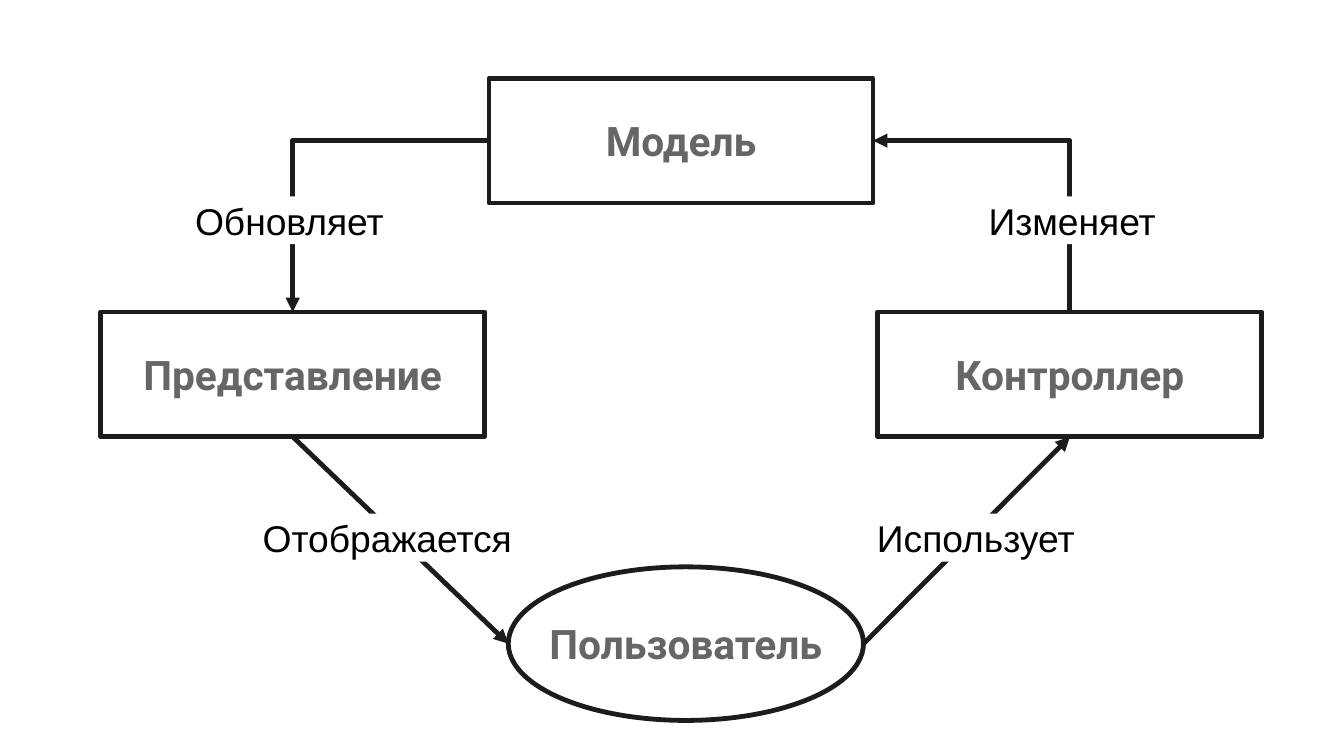
"""Draws the model, view, controller and user cycle on one slide."""
from dataclasses import dataclass

from lxml import etree
from pptx import Presentation
from pptx import util as u
from pptx.dml.color import RGBColor
from pptx.enum import shapes, text
from pptx.oxml.ns import qn


@dataclass(frozen=True)
class Theme:
    ink: RGBColor = RGBColor(0x1C, 0x1C, 0x1C)
    node_text: RGBColor = RGBColor(0x66, 0x66, 0x66)
    label_text: RGBColor = RGBColor(0, 0, 0)
    paper: RGBColor = RGBColor(0xFF, 0xFF, 0xFF)
    node_font: str = "Roboto"
    label_font: str = "Arial"
    node_size: int = 24
    label_size: int = 22
    line: float = 2.83


@dataclass(frozen=True)
class Node:
    name: str
    x: float
    y: float
    w: float = 8.0
    h: float = 2.6
    kind: shapes.MSO_SHAPE = shapes.MSO_SHAPE.RECTANGLE


@dataclass(frozen=True)
class Link:
    start: str
    start_site: int
    end: str
    end_site: int
    bent: bool = False
    arrow: str = "tailEnd"


@dataclass(frozen=True)
class Label:
    name: str
    x: float
    y: float
    w: float = 4.14
    h: float = 1.0


TOP, LEFT, BOTTOM, RIGHT = range(4)
THEME = Theme()
MODEL, VIEW, CONTROLLER, USER = "Модель", "Представление", "Контроллер", "Пользователь"
NODES = [
    Node(MODEL, 10.19, 1.63),
    Node(VIEW, 2.1, 6.5),
    Node(CONTROLLER, 18.29, 6.5),
    Node(USER, 10.59, 11.81, 7.4, 3.2, shapes.MSO_SHAPE.OVAL),
]
LINKS = [
    Link(MODEL, LEFT, VIEW, TOP, bent=True),
    Link(VIEW, BOTTOM, USER, LEFT),
    Link(USER, RIGHT, CONTROLLER, BOTTOM),
    Link(MODEL, RIGHT, CONTROLLER, TOP, bent=True, arrow="headEnd"),
]
LABELS = [
    Label("Обновляет", 3.96, 4.09),
    Label("Изменяет", 20.27, 4.09),
    Label("Отображается", 6.0, 10.7),
    Label("Использует", 18.26, 10.7),
]


def write(sp, words: str, font: str, size: int, color: RGBColor, bold: bool) -> None:
    tf = sp.text_frame
    tf.word_wrap = False
    tf.vertical_anchor = text.MSO_ANCHOR.MIDDLE
    p = tf.paragraphs[0]
    p.alignment = text.PP_ALIGN.CENTER
    r = p.add_run()
    r.text = words
    r.font.name, r.font.size, r.font.bold = font, u.Pt(size), bold
    r.font.color.rgb = color


def add_box(s, item: Node | Label, kind: shapes.MSO_SHAPE):
    sp = s.shapes.add_shape(kind, *map(u.Cm, (item.x, item.y, item.w, item.h)))
    sp.shadow.inherit = False
    return sp


def draw_node(s, node: Node):
    sp = add_box(s, node, node.kind)
    sp.fill.background()
    sp.line.color.rgb, sp.line.width = THEME.ink, u.Pt(THEME.line)
    write(sp, node.name, THEME.node_font, THEME.node_size, THEME.node_text, True)
    return sp


def draw_label(s, label: Label) -> None:
    sp = add_box(s, label, shapes.MSO_SHAPE.RECTANGLE)
    sp.fill.solid()
    sp.fill.fore_color.rgb = THEME.paper
    sp.line.fill.background()
    write(sp, label.name, THEME.label_font, THEME.label_size, THEME.label_text, False)


def site_point(sp, site: int) -> tuple[int, int]:
    fx, fy = {TOP: (1, 0), LEFT: (0, 1), BOTTOM: (1, 2), RIGHT: (2, 1)}[site]
    return sp.left + sp.width * fx // 2, sp.top + sp.height * fy // 2


def draw_link(s, link: Link, drawn: dict) -> None:
    start, end = drawn[link.start], drawn[link.end]
    kind = shapes.MSO_CONNECTOR.ELBOW if link.bent else shapes.MSO_CONNECTOR.STRAIGHT
    cx = s.shapes.add_connector(kind, *site_point(start, link.start_site),
                                *site_point(end, link.end_site))
    if link.start != USER:
        cx.begin_connect(start, link.start_site)
    if link.end != USER:
        cx.end_connect(end, link.end_site)
    cx.line.color.rgb, cx.line.width = THEME.ink, u.Pt(THEME.line)
    props = cx._element.spPr
    if link.bent:
        props.find(qn("a:prstGeom")).set("prst", "bentConnector2")
    etree.SubElement(props.find(qn("a:ln")), qn(f"a:{link.arrow}"), type="triangle")
    etree.SubElement(props, qn("a:effectLst"))


def main() -> None:
    prs = Presentation()
    prs.slide_width, prs.slide_height = u.Cm(28), u.Cm(15.75)
    s = prs.slides.add_slide(prs.slide_layouts[6])
    drawn = {node.name: draw_node(s, node) for node in NODES}
    for link in LINKS:
        draw_link(s, link, drawn)
    for label in LABELS:
        draw_label(s, label)
    prs.save("out.pptx")


if __name__ == "__main__":
    main()
